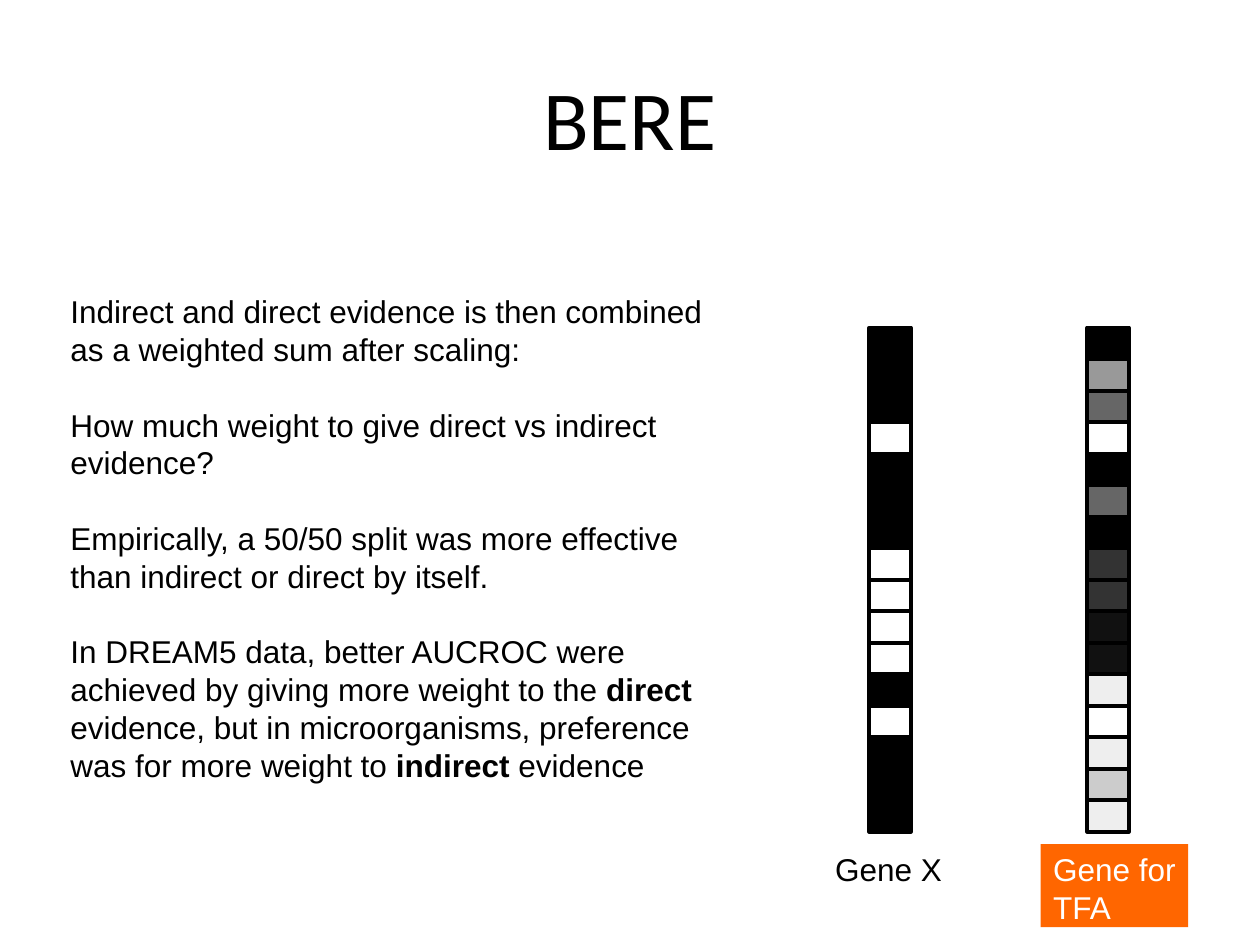
import pptx
import pptx.util
from pptx.dml.color import RGBColor
from pptx.enum.shapes import MSO_SHAPE
from pptx.enum.text import MSO_ANCHOR, PP_ALIGN

EMU_PER_PX = 9144  # 100 px to the inch
COLORS = {"black": "000000", "white": "FFFFFF", "orange": "FF6600"}


def px(length):
    return pptx.util.Emu(length * EMU_PER_PX)


class SlideBuilder:
    """Holds the text style and the slide being filled."""

    font = "Arial"
    size = 18
    outline = 2.3

    def __init__(self, slide):
        self.slide = slide

    def set_text(self, shape, paragraphs, color="black", font=None, size=None,
                 align=PP_ALIGN.LEFT, gap=0, wrap=True):
        """Fill a shape with paragraphs, each a list of (text, bold) runs."""
        frame = shape.text_frame
        frame.word_wrap = wrap
        for index, runs in enumerate(paragraphs):
            paragraph = frame.add_paragraph() if index else frame.paragraphs[0]
            paragraph.alignment = align
            if index and gap:
                paragraph.space_before = pptx.util.Pt(gap)
            paragraph.font.name = font or self.font
            paragraph.font.size = pptx.util.Pt(size or self.size)
            paragraph.font.color.rgb = RGBColor.from_string(COLORS[color])
            for text, bold in runs:
                run = paragraph.add_run()
                run.text = text
                if bold:
                    run.font.bold = True
        return frame

    def text(self, box, paragraphs, **style):
        shape = self.slide.shapes.add_textbox(*map(px, box))
        return self.set_text(shape, paragraphs, **style)

    def rectangle(self, box, fill, line=None):
        shape = self.slide.shapes.add_shape(MSO_SHAPE.RECTANGLE, *map(px, box))
        shape.shadow.inherit = False
        shape.fill.solid()
        shape.fill.fore_color.rgb = RGBColor.from_string(fill)
        if line:
            shape.line.color.rgb = RGBColor.from_string(line)
            shape.line.width = pptx.util.Pt(self.outline)
        else:
            shape.line.fill.background()
        return shape

    def label(self, box, fill, lines, **style):
        shape = self.rectangle(box, COLORS[fill])
        frame = self.set_text(shape, lines, wrap=False, **style)
        frame.vertical_anchor = MSO_ANCHOR.TOP

    def gene_column(self, left, shades):
        """Stack one cell per hex digit, each digit giving a grey level."""
        top, width, height = 260, 33, 25
        for row, digit in enumerate(shades):
            box = (left, top + row * height, width, height)
            self.rectangle(box, digit * 6, COLORS["black"])


def main():
    presentation = pptx.Presentation()
    presentation.slide_width = px(1000)
    presentation.slide_height = px(750)
    builder = SlideBuilder(
        presentation.slides.add_slide(presentation.slide_layouts[6]))

    # Title
    title = builder.text((50, 30, 900, 125), [[("BERE", False)]],
                         font="Calibri", size=48, align=PP_ALIGN.CENTER)
    title.vertical_anchor = MSO_ANCHOR.MIDDLE
    title.margin_left = title.margin_right = 0
    title.margin_top = title.margin_bottom = 0

    # Evidence columns and their labels
    builder.gene_column(690, "000F000FFFF0F000")
    builder.text((653, 670, 105, 40), [[("Gene X", False)]], wrap=False)
    builder.gene_column(863, "096F0603311EFECE")
    builder.label((826, 670, 117, 66), "orange",
                  [[("Gene for", False)], [("TFA", False)]], color="white")

    # Explanation
    builder.text((46, 227, 551, 402), [
        [("Indirect and direct evidence is then combined as a weighted sum "
          "after scaling:", False)],
        [("How much weight to give direct vs indirect evidence?", False)],
        [("Empirically, a 50/50 split was more effective than indirect or "
          "direct by itself.", False)],
        [("In DREAM5 data, better AUCROC were achieved by giving more weight "
          "to the ", False),
         ("direct ", True),
         ("evidence, but in microorganisms, preference was for more weight "
          "to ", False),
         ("indirect ", True),
         ("evidence", False)],
    ], gap=21.6)

    presentation.save("out.pptx")


if __name__ == "__main__":
    main()
